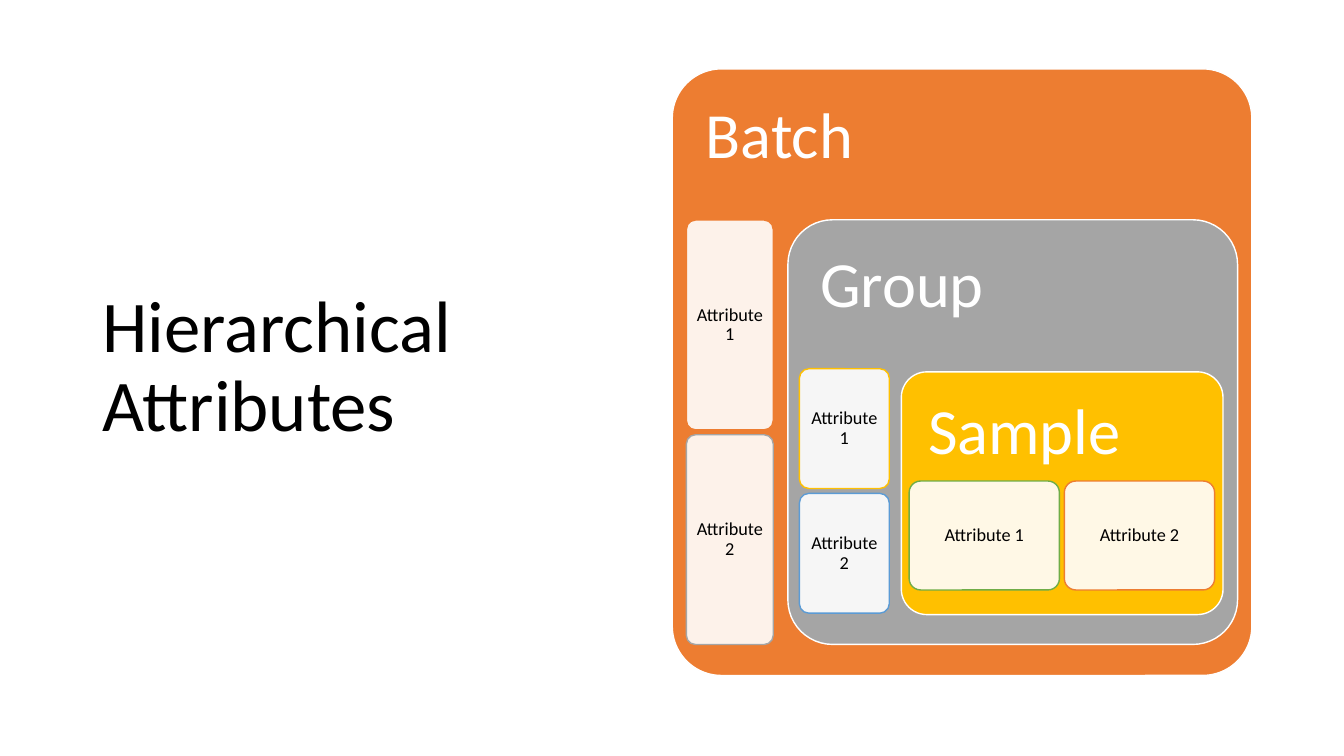
import pptx
import pptx.util
import pptx.dml.color
import pptx.enum.shapes
import pptx.enum.text
from lxml import etree

Pt = pptx.util.Pt
RGBColor = pptx.dml.color.RGBColor
Anchor = pptx.enum.text.MSO_ANCHOR
Align = pptx.enum.text.PP_ALIGN

BLACK = RGBColor(0x00, 0x00, 0x00)
WHITE = RGBColor(0xFF, 0xFF, 0xFF)
ORANGE = RGBColor(0xED, 0x7D, 0x31)
GRAY = RGBColor(0xA5, 0xA5, 0xA5)
GOLD = RGBColor(0xFF, 0xC0, 0x00)
BLUE = RGBColor(0x5B, 0x9B, 0xD5)
GREEN = RGBColor(0x70, 0xAD, 0x47)

FONT = "Calibri"
GAP = 3.5
TITLE = "Hierarchical Attributes"
TITLE_AREA = (66, 44, 383, 438.5)
ATTRIBUTES = ["Attribute 1", "Attribute 2"]
LEVELS = [
    {"name": "Batch", "fill": ORANGE, "area": (480.2, 49.2, 414, 433.3), "corner": 0.085,
     "attribute_area": (490.3, 157.2, 62, 303.2), "stacked": True, "outlines": [ORANGE, GRAY]},
    {"name": "Group", "fill": GRAY, "area": (562.8, 157, 321.2, 303.3), "corner": 0.105,
     "attribute_area": (571, 263.4, 64.2, 174.6), "stacked": True, "outlines": [GOLD, BLUE]},
    {"name": "Sample", "fill": GOLD, "area": (643.8, 265.6, 229.8, 173.4), "corner": 0.105,
     "attribute_area": (649.4, 343.6, 218.2, 77.8), "stacked": False, "outlines": [GREEN, ORANGE]},
]


def format_text(frame, text, size, color, align, anchor):
    frame.word_wrap = True
    frame.auto_size = pptx.enum.text.MSO_AUTO_SIZE.NONE
    frame.vertical_anchor = anchor
    para = frame.paragraphs[0]
    para.text = text
    para.alignment = align
    para.line_spacing = 0.9
    para.font.name = FONT
    para.font.size = Pt(size)
    para.font.color.rgb = color


def add_box(page, area, corner, fill, outline, inset):
    box = page.shapes.add_shape(
        pptx.enum.shapes.MSO_SHAPE.ROUNDED_RECTANGLE, *map(Pt, area))
    box.adjustments[0] = corner
    box.shadow.inherit = False
    box.fill.solid()
    box.fill.fore_color.rgb = fill
    box.line.color.rgb = outline
    box.line.width = Pt(1)
    frame = box.text_frame
    frame.margin_left = frame.margin_right = Pt(inset)
    frame.margin_top = frame.margin_bottom = Pt(inset)
    return box


def set_opacity(box, percent):
    color = box.fill._xPr.find(".//" + pptx.oxml.ns.qn("a:srgbClr"))
    alpha = etree.SubElement(color, pptx.oxml.ns.qn("a:alpha"))
    alpha.set("val", str(percent * 1000))


def split_area(area, count, stacked):
    left, top, width, height = area
    if stacked:
        part = (height - GAP * (count - 1)) / count
        return [(left, top + i * (part + GAP), width, part) for i in range(count)]
    part = (width - GAP * (count - 1)) / count
    return [(left + i * (part + GAP), top, part, height) for i in range(count)]


def add_level(page, level):
    box = add_box(page, level["area"], level["corner"], level["fill"], WHITE, 13.8)
    format_text(box.text_frame, level["name"], 46, WHITE, Align.LEFT, Anchor.TOP)
    areas = split_area(level["attribute_area"], len(ATTRIBUTES), level["stacked"])
    for text, area, outline in zip(ATTRIBUTES, areas, level["outlines"]):
        box = add_box(page, area, 0.105, WHITE, outline, 3.6)
        set_opacity(box, 90)
        format_text(box.text_frame, text, 13, BLACK, Align.CENTER, Anchor.MIDDLE)


def main():
    deck = pptx.Presentation()
    deck.slide_width, deck.slide_height = Pt(960), Pt(540)
    page = deck.slides.add_slide(deck.slide_layouts[5])
    title = page.shapes.title
    title.left, title.top, title.width, title.height = map(Pt, TITLE_AREA)
    format_text(title.text_frame, TITLE, 52, BLACK, Align.LEFT, Anchor.MIDDLE)
    for level in LEVELS:
        add_level(page, level)
    deck.save("out.pptx")


if __name__ == "__main__":
    main()
